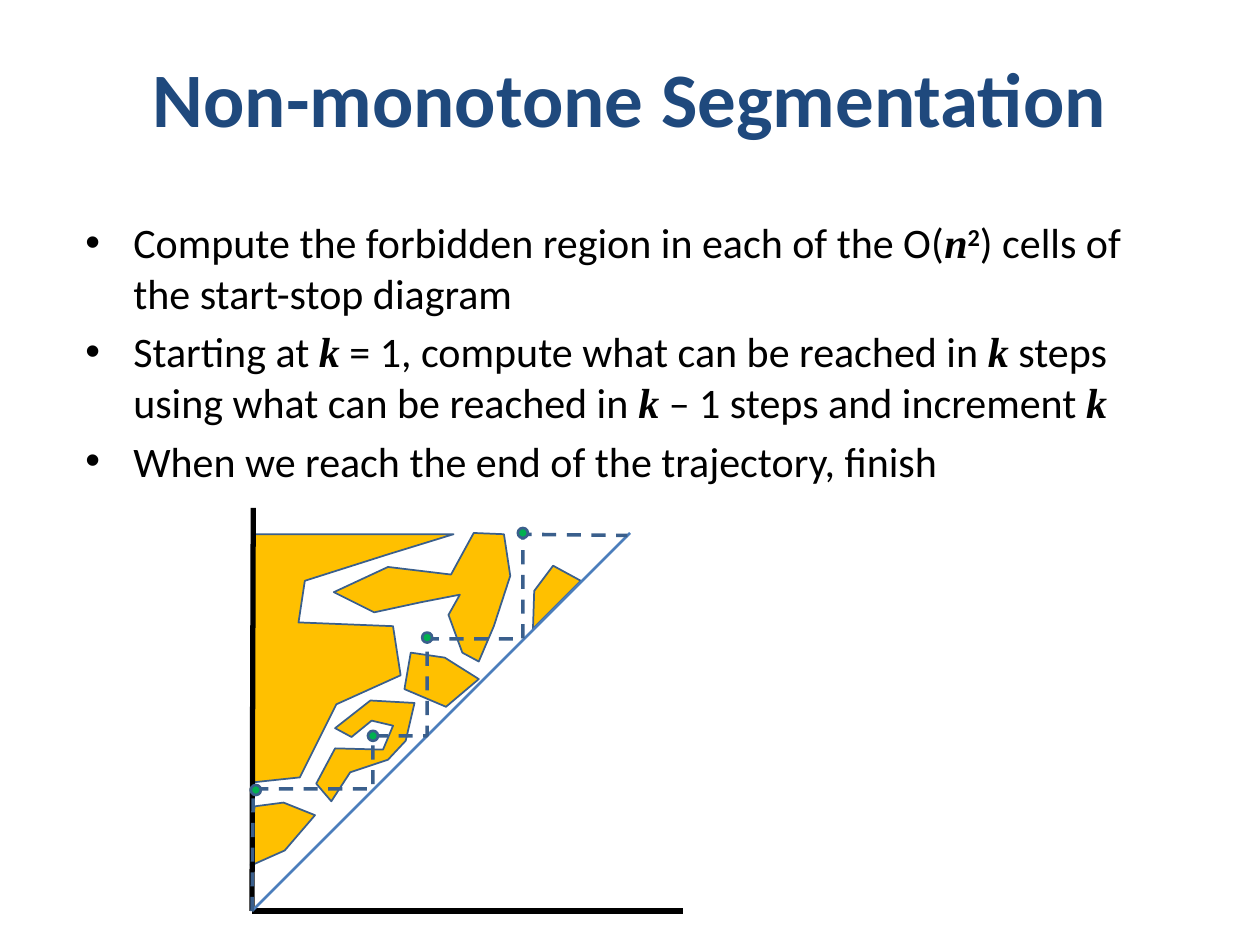
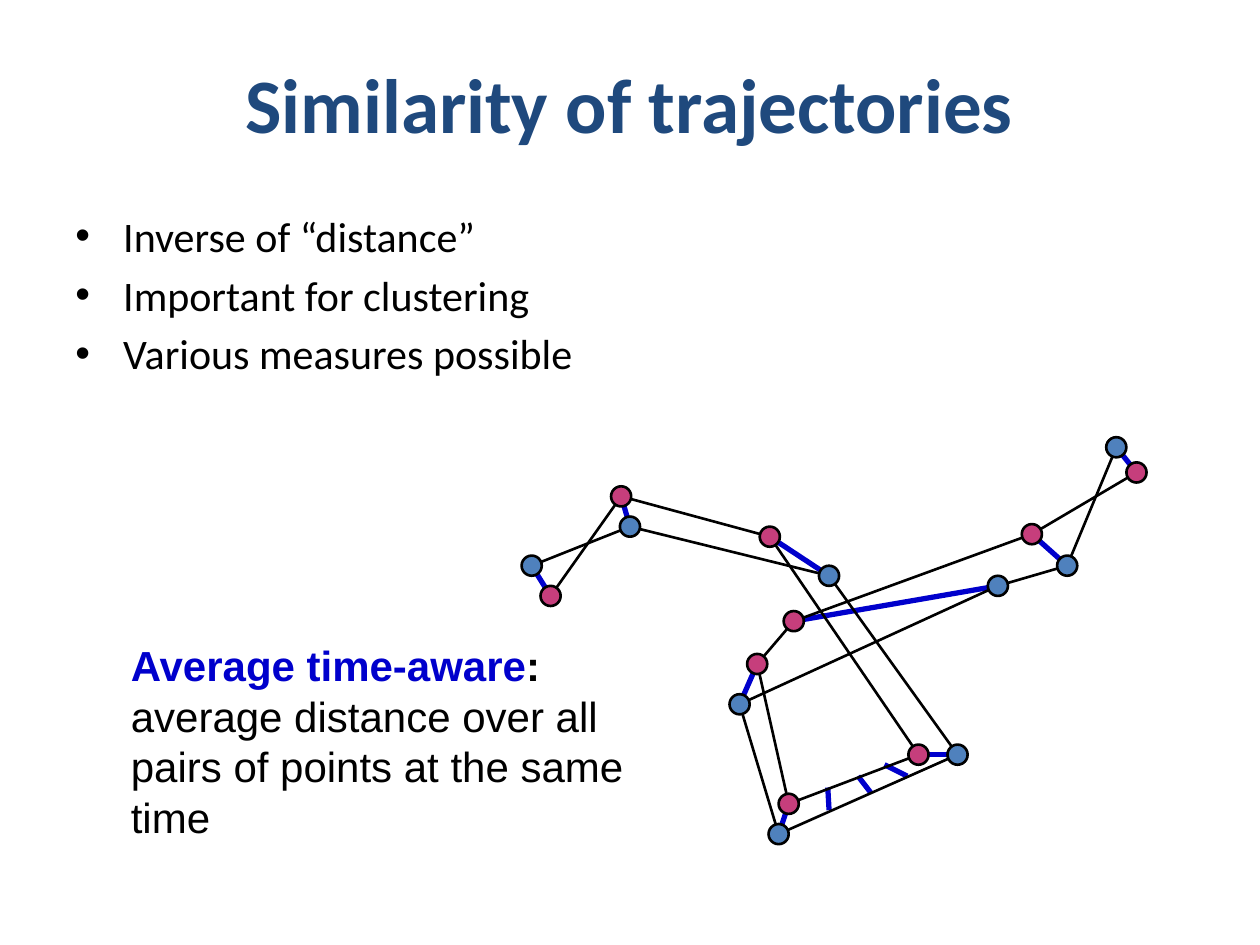
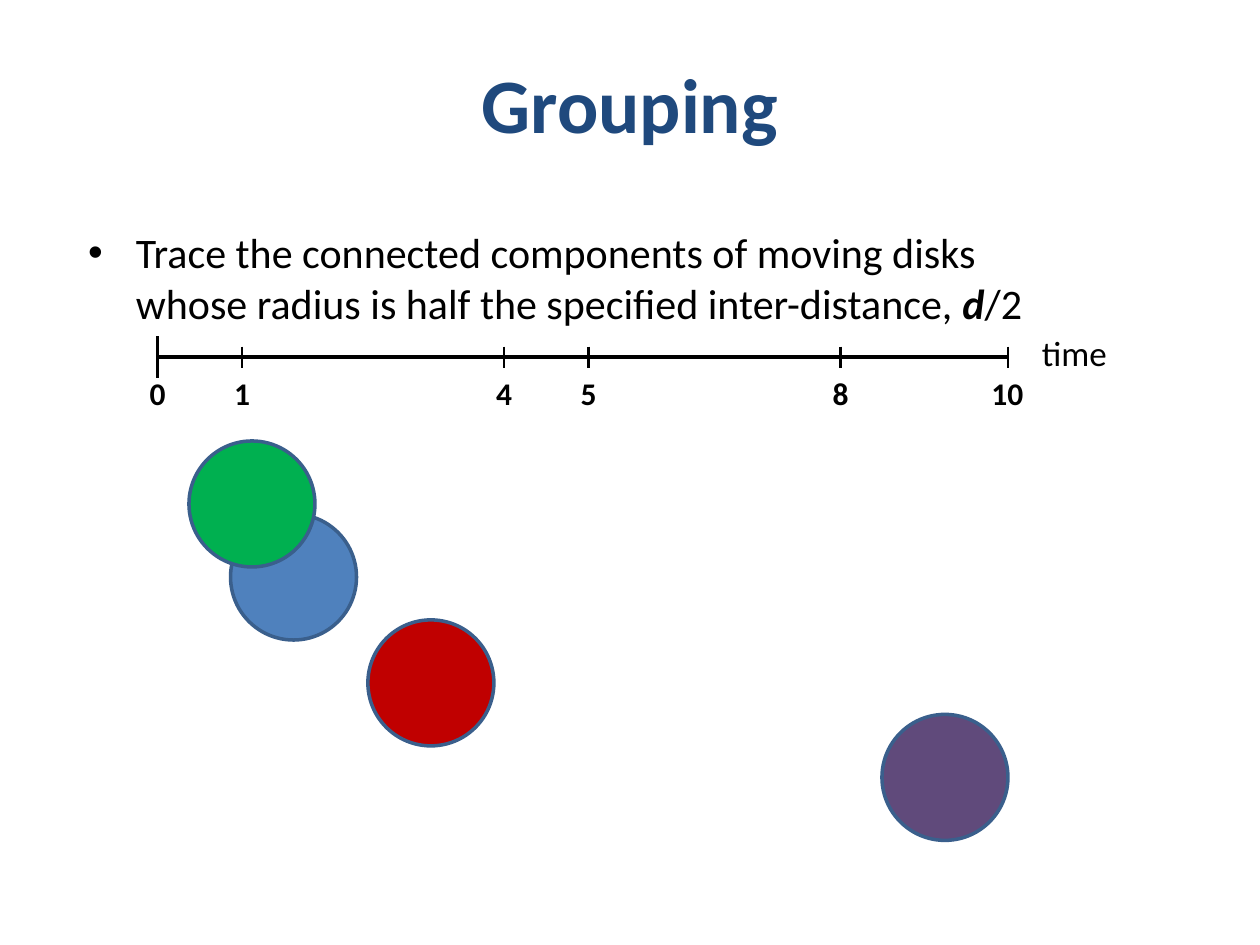
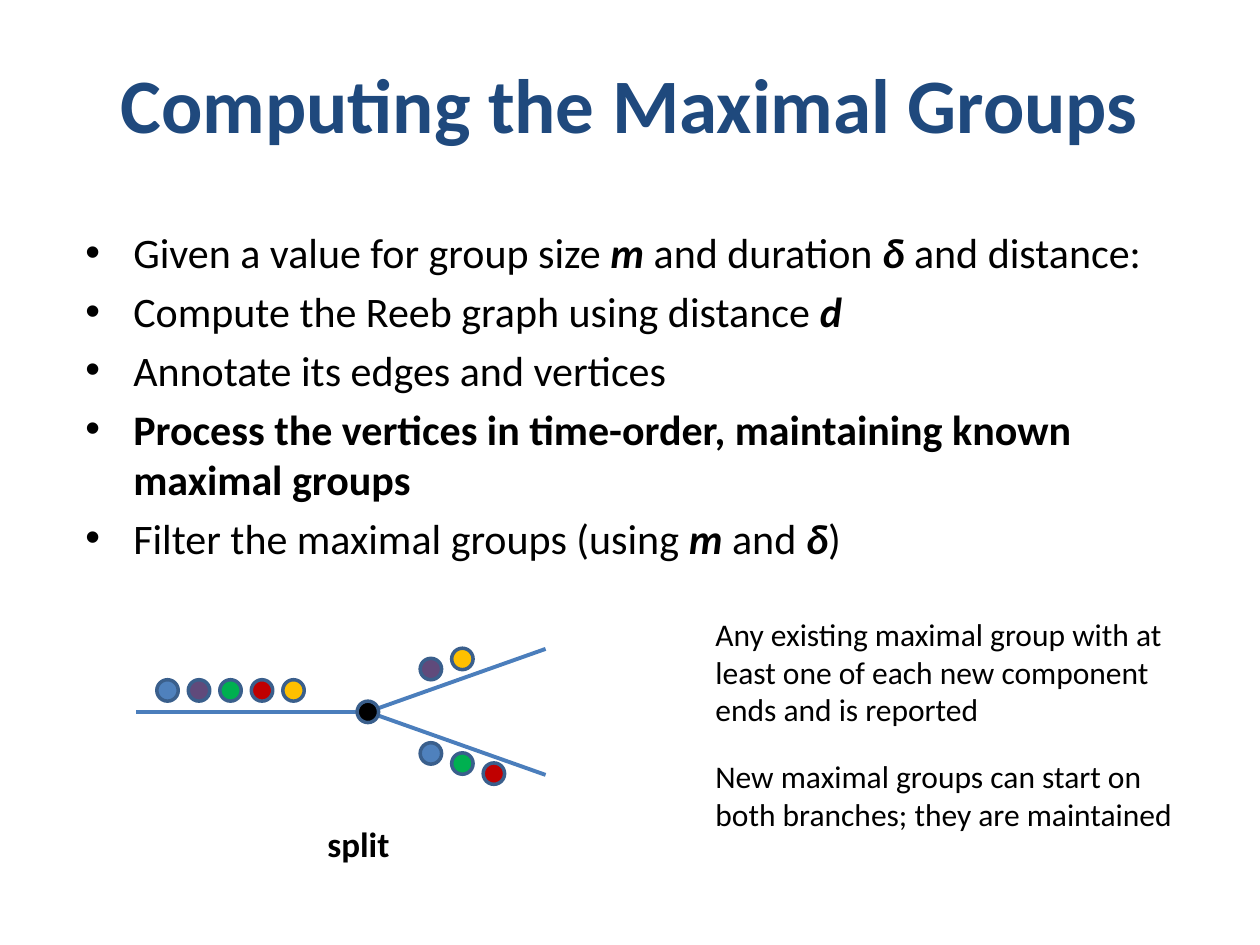
"""Build four slides on trajectory segmentation, similarity and grouping."""
from dataclasses import dataclass, field

from lxml.etree import SubElement
from pptx import Presentation
from pptx.dml.color import RGBColor
from pptx.enum.dml import MSO_LINE
from pptx.enum.shapes import MSO_CONNECTOR, MSO_SHAPE
from pptx.enum.text import MSO_ANCHOR, PP_ALIGN
from pptx.oxml.ns import qn
from pptx.util import Inches, Pt


@dataclass(frozen=True)
class Theme:
    font: str = "Calibri"
    title_size: int = 44
    body_size: int = 24
    label_size: int = 20
    note_size: int = 18
    bullet_gap: float = 4.8
    bullet_indent: int = 38
    navy: str = "1F497D"
    black: str = "000000"
    outline: str = "3A5F8C"
    edge: str = "4B7EBC"
    link: str = "0000CC"
    blue: str = "4F81BD"
    pink: str = "C63E7C"
    green: str = "00B050"
    red: str = "C00000"
    purple: str = "604A7B"
    amber: str = "FFC000"


@dataclass
class Stroke:
    points: list
    color: str
    width: float
    fill: str = None
    dashed: bool = False


@dataclass
class Circle:
    center: tuple
    diameter: int
    fill: str
    color: str
    width: float


@dataclass
class Label:
    box: tuple
    runs: list
    size: int
    wrap: bool = True


@dataclass
class Page:
    title: str
    body_box: tuple
    bullets: list
    title_top: int = 30
    strokes: list = field(default_factory=list)
    circles: list = field(default_factory=list)
    labels: list = field(default_factory=list)


theme = Theme()
strong = {"bold": True}
variable = {"bold": True, "italic": True}
serif_variable = variable | {"name": "Times New Roman"}
superscript = {"bold": True, "baseline": "30000"}

presentation = Presentation()
presentation.slide_width = Inches(10)
presentation.slide_height = Inches(7.5)
cell = presentation.slide_width // 1000


def add_text(slide, box, paragraphs, size, color=theme.black, wrap=True, bulleted=False):
    """Add a text box on the grid; each paragraph is a list of (text, changes)."""
    text_box = slide.shapes.add_textbox(*(cell * length for length in box))
    frame = text_box.text_frame
    frame.word_wrap = wrap
    for index, runs in enumerate(paragraphs):
        paragraph = frame.add_paragraph() if index else frame.paragraphs[0]
        if bulleted:
            properties = paragraph._p.get_or_add_pPr()
            properties.set("marL", str(theme.bullet_indent * cell))
            properties.set("indent", str(-theme.bullet_indent * cell))
            SubElement(properties, qn("a:buFont"), typeface="Arial")
            SubElement(properties, qn("a:buChar"), char="•")
            if index:
                paragraph.space_before = Pt(theme.bullet_gap)
        paragraph.font.name = theme.font
        paragraph.font.size = Pt(size)
        paragraph.font.color.rgb = RGBColor.from_string(color)
        for text, changes in runs:
            run = paragraph.add_run()
            run.text = text
            font = paragraph.font if len(runs) == 1 else run.font
            font.bold = changes.get("bold")
            font.italic = changes.get("italic")
            if "name" in changes:
                font.name = changes["name"]
            if "color" in changes:
                font.color.rgb = RGBColor.from_string(changes["color"])
            if "baseline" in changes:
                run._r.get_or_add_rPr().set("baseline", changes["baseline"])
    return text_box


def style_line(shape, color, width):
    """Set the outline of a shape or connector."""
    shape.line.color.rgb = RGBColor.from_string(color)
    shape.line.width = Pt(width)


segmentation = Page(
    "Non-monotone Segmentation",
    (58, 167, 883, 255),
    [
        [("Compute the forbidden region in each of the O(", {}), ("n", serif_variable),
         ("2", superscript), (") cells of the start-stop diagram", {})],
        [("Starting at ", {}), ("k", serif_variable),
         (" = 1, compute what can be reached in ", {}), ("k", serif_variable),
         (" steps using what can be reached in ", {}), ("k", serif_variable),
         (" – 1 steps and increment ", {}), ("k", serif_variable)],
        [("When we reach the end of the trajectory, finish", {})],
    ],
    title_top=25,
)
forbidden_regions = [
    [(423, 499), (461, 461), (439, 449), (424, 469)],
    [(354, 561), (380, 539), (353, 522), (326, 518), (321, 547)],
    [(266, 578), (294, 556), (329, 558), (322, 588), (308, 603), (278, 613), (263, 636),
     (251, 622), (266, 594), (304, 595), (312, 576), (295, 572), (279, 585)],
    [(199, 687), (226, 675), (250, 647), (225, 637), (202, 640)],
    [(200, 621), (238, 617), (267, 559), (318, 536), (312, 497), (237, 494), (242, 461),
     (308, 440), (360, 424), (201, 424)],
    [(376, 423), (400, 424), (405, 457), (392, 497), (380, 525), (367, 518), (356, 488),
     (365, 472), (334, 478), (297, 486), (265, 470), (308, 450), (358, 456)],
]
staircase = [(200, 723), (201, 626), (296, 626), (296, 584), (339, 584), (339, 507),
             (415, 507), (415, 424), (498, 425)]
origin = (200, 723)
segmentation.strokes = [
    Stroke(region, theme.outline, 1, theme.amber) for region in forbidden_regions
] + [
    Stroke([(201, 403), origin], theme.black, 3),
    Stroke([origin, (542, 723)], theme.black, 3),
    Stroke([origin, (500, 423)], theme.edge, 1.5),
    Stroke(staircase, theme.outline, 2, dashed=True),
]
segmentation.circles = [
    Circle(center, 8, theme.green, theme.outline, 1.5)
    for center in [(339, 506), (415, 423), (296, 584), (203, 627)]
]

similarity = Page(
    "Similarity of trajectories",
    (50, 162, 900, 200),
    [
        [("Inverse of “distance”", {})],
        [("Important for clustering", {})],
        [("Various measures possible", {})],
    ],
)
blue_trajectory = [(422, 449), (500, 418), (658, 457), (760, 599), (618, 662), (587, 559),
                   (792, 465), (847, 449), (886, 355)]
pink_trajectory = [(437, 473), (493, 394), (611, 426), (729, 599), (626, 638), (601, 527),
                   (630, 493), (819, 424), (902, 375)]
rungs = [[(657, 625), (658, 643)], [(702, 607), (720, 616)], [(681, 616), (691, 629)]]
similarity.strokes = [
    Stroke(list(pair), theme.link, 3)
    for pair in [*rungs, *zip(blue_trajectory, pink_trajectory)]
]
for trajectory, fill in [(blue_trajectory, theme.blue), (pink_trajectory, theme.pink)]:
    similarity.strokes.append(Stroke(trajectory, theme.black, 1.5))
    similarity.circles += [Circle(point, 16, fill, theme.black, 1.5) for point in trajectory]
arial = {"name": "Arial"}
similarity.labels = [
    Label(
        (94, 503, 415, 170),
        [("Average time-aware", arial | strong | {"color": theme.link}),
         (":", arial | strong),
         (" average distance over all pairs of points at the same time", arial)],
        theme.body_size,
    )
]

grouping = Page(
    "Grouping",
    (60, 175, 798, 150),
    [
        [("Trace the connected components of moving disks whose radius is half the "
          "specified inter-distance, ", {}), ("d", variable), ("/2", {})],
    ],
)
tick_columns = {"0": 125, "1": 192, "4": 400, "5": 467, "8": 667, "10": 800}
grouping.strokes = [
    Stroke([(125, 267), (125, 300)], theme.black, 2.25),
    Stroke([(125, 283), (800, 283)], theme.black, 2.25),
]
for time, column in tick_columns.items():
    label_width = 20 + 13 * len(time)
    grouping.strokes.append(Stroke([(column, 275), (column, 292)], theme.black, 1.5))
    grouping.labels.append(
        Label((column - label_width // 2, 292, label_width, 40), [(time, strong)],
              theme.note_size, wrap=False)
    )
grouping.labels.append(Label((817, 258, 73, 44), [("time", {})], theme.label_size, wrap=False))
grouping.circles = [
    Circle(center, 100, fill, theme.outline, 2)
    for center, fill in [((233, 458), theme.blue), ((200, 400), theme.green),
                         ((342, 542), theme.red), ((750, 617), theme.purple)]
]

maximal_groups = Page(
    "Computing the Maximal Groups",
    (58, 175, 900, 283),
    [
        [("Given a value for group size ", {}), ("m", variable), (" and duration ", {}),
         ("δ", variable), (" and distance:", {})],
        [("Compute the Reeb graph using distance ", {}), ("d", variable)],
        [("Annotate its edges and vertices", {})],
        [("Process the vertices in time-order, maintaining known maximal groups", strong)],
        [("Filter the maximal groups (using ", {}), ("m", variable), (" and ", {}),
         ("δ", variable), (")", {})],
    ],
)
split_vertex = (292, 565)
maximal_groups.strokes = [
    Stroke([split_vertex, end], theme.edge, 2.25)
    for end in [(108, 565), (433, 515), (433, 615)]
]
maximal_groups.circles = [Circle(split_vertex, 17, theme.black, theme.outline, 2)]
entity_rows = [
    ((133, 548), 0, [theme.blue, theme.purple, theme.green, theme.red, theme.amber]),
    ((342, 531), -8, [theme.purple, theme.amber]),
    ((342, 598), 8, [theme.blue, theme.green, theme.red]),
]
for (column, row), rise, fills in entity_rows:
    for index, fill in enumerate(fills):
        center = (column + 25 * index, row + rise * index)
        maximal_groups.circles.append(Circle(center, 17, fill, theme.outline, 2))
maximal_groups.labels = [
    Label((558, 483, 400, 101),
          [("Any existing maximal group with at least one of each new component ends and "
            "is reported", {})], theme.note_size),
    Label((558, 596, 400, 71),
          [("New maximal groups can start on both branches; they are maintained", {})],
          theme.note_size),
    Label((250, 648, 70, 44), [("split", strong)], theme.label_size, wrap=False),
]

for page in [segmentation, similarity, grouping, maximal_groups]:
    slide = presentation.slides.add_slide(presentation.slide_layouts[6])

    title = add_text(slide, (50, page.title_top, 900, 103), [[(page.title, strong)]],
                     theme.title_size, theme.navy)
    title.text_frame.vertical_anchor = MSO_ANCHOR.MIDDLE
    title.text_frame.paragraphs[0].alignment = PP_ALIGN.CENTER
    add_text(slide, page.body_box, page.bullets, theme.body_size, bulleted=True)

    for stroke in page.strokes:
        if len(stroke.points) == 2:
            ends = [cell * length for point in stroke.points for length in point]
            connector = slide.shapes.add_connector(MSO_CONNECTOR.STRAIGHT, *ends)
            style_line(connector, stroke.color, stroke.width)
            SubElement(connector._element.spPr, qn("a:effectLst"))
            continue
        builder = slide.shapes.build_freeform(*stroke.points[0], scale=cell)
        builder.add_line_segments(stroke.points[1:], close=stroke.fill is not None)
        outline = builder.convert_to_shape()
        outline.shadow.inherit = False
        style_line(outline, stroke.color, stroke.width)
        if stroke.fill:
            outline.fill.solid()
            outline.fill.fore_color.rgb = RGBColor.from_string(stroke.fill)
        else:
            outline.fill.background()
        if stroke.dashed:
            outline.line.dash_style = MSO_LINE.DASH

    for circle in page.circles:
        left, top = (round(cell * (middle - circle.diameter / 2)) for middle in circle.center)
        diameter = cell * circle.diameter
        disk = slide.shapes.add_shape(MSO_SHAPE.OVAL, left, top, diameter, diameter)
        disk.shadow.inherit = False
        disk.fill.solid()
        disk.fill.fore_color.rgb = RGBColor.from_string(circle.fill)
        style_line(disk, circle.color, circle.width)

    for label in page.labels:
        add_text(slide, label.box, [label.runs], label.size, wrap=label.wrap)

presentation.save("out.pptx")
